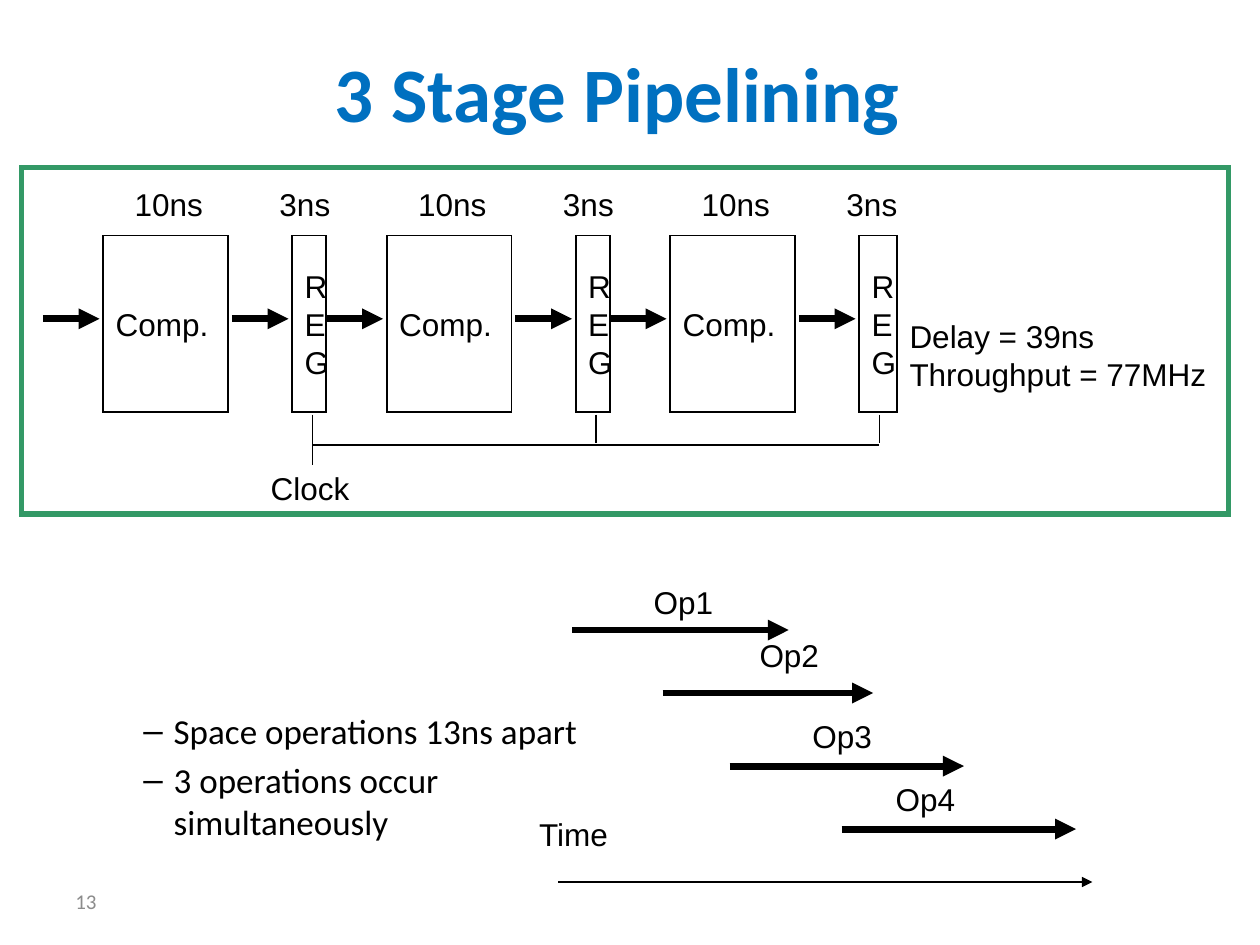
from dataclasses import dataclass

from lxml.etree import SubElement
from pptx import Presentation
from pptx.dml.color import RGBColor
from pptx.enum.shapes import MSO_CONNECTOR as Connector, MSO_SHAPE as Preset
from pptx.enum.text import MSO_ANCHOR as Anchor, MSO_AUTO_SIZE as AutoSize, PP_ALIGN as Align
from pptx.oxml.ns import qn
from pptx.util import Pt

PX = 9144  # 100 px to the inch

BLACK = RGBColor(0x00, 0x00, 0x00)
WHITE = RGBColor(0xFF, 0xFF, 0xFF)
BLUE = RGBColor(0x00, 0x70, 0xC0)
GREEN = RGBColor(0x33, 0x99, 0x66)
GREY = RGBColor(0x8C, 0x8C, 0x8C)

STAGE_PITCH = 225
BLOCK_TOP, BLOCK_HEIGHT = 187, 140
FLOW_Y, FLOW_LENGTH = 253, 45
CLOCK_TOP, CLOCK_Y = 329, 353


@dataclass(frozen=True)
class Box:
    left: int
    top: int
    width: int
    height: int

    def emu(self) -> tuple[int, ...]:
        return tuple(v * PX for v in (self.left, self.top, self.width, self.height))


@dataclass(frozen=True)
class Style:
    size: int = 18
    font: str = "Arial"
    color: RGBColor = BLACK
    bold: bool = False
    align: Align = Align.LEFT


@dataclass(frozen=True)
class Stage:
    left: int
    register_width: int
    clock_bottom: int


@dataclass(frozen=True)
class Operation:
    name: str
    label_left: int
    label_top: int
    start: int
    end: int
    y: int


LABEL = Style()
STAGES = [
    Stage(left=82 + i * STAGE_PITCH, register_width=width, clock_bottom=bottom)
    for i, (width, bottom) in enumerate([(27, 369), (27, 352), (30, 352)])
]
OPERATIONS = [
    Operation("Op1", 509, 458, 454, 626, 500),
    Operation("Op2", 593, 500, 526, 693, 550),
    Operation("Op3", 635, 564, 579, 765, 608),
    Operation("Op4", 701, 614, 668, 854, 658),
]


def write(frame, lines: list[str], style: Style) -> None:
    for i, line in enumerate(lines):
        paragraph = frame.paragraphs[0] if i == 0 else frame.add_paragraph()
        paragraph.text = line
        paragraph.alignment = style.align
        paragraph.font.size = Pt(style.size)
        paragraph.font.name = style.font
        paragraph.font.bold = style.bold
        paragraph.font.color.rgb = style.color


def add_text(slide, box: Box, lines: list[str], style: Style = LABEL, wrap: bool = False):
    frame = slide.shapes.add_textbox(*box.emu()).text_frame
    frame.word_wrap = wrap
    frame.auto_size = AutoSize.NONE if wrap else AutoSize.SHAPE_TO_FIT_TEXT
    write(frame, lines, style)
    return frame


def add_rectangle(slide, box: Box, color: RGBColor, width: int):
    rectangle = slide.shapes.add_shape(Preset.RECTANGLE, *box.emu())
    rectangle.shadow.inherit = False
    rectangle.fill.background()
    rectangle.line.color.rgb = color
    rectangle.line.width = Pt(width)
    SubElement(rectangle._element.spPr.find(qn("a:ln")), qn("a:miter"), lim="800000")
    return rectangle


def add_block(slide, box: Box, lines: list[str]) -> None:
    block = add_rectangle(slide, box, BLACK, 1)
    block.fill.solid()
    block.fill.fore_color.rgb = WHITE
    block.text_frame.word_wrap = False
    block.text_frame.vertical_anchor = Anchor.MIDDLE
    write(block.text_frame, lines, LABEL)


def add_line(slide, start: tuple[int, int], end: tuple[int, int],
             width: int = 1, arrow: bool = False) -> None:
    line = slide.shapes.add_connector(Connector.STRAIGHT, *(v * PX for v in start + end))
    line.line.color.rgb = BLACK
    line.line.width = Pt(width)
    properties = line._element.spPr
    if arrow:
        SubElement(properties.find(qn("a:ln")), qn("a:tailEnd"), type="triangle")
    SubElement(properties, qn("a:effectLst"))


def add_flow(slide, start: int, end: int, y: int) -> None:
    add_line(slide, (start, y), (end, y), width=4, arrow=True)


def add_stage(slide, stage: Stage) -> None:
    left = stage.left
    register_left, clock_x = left + 150, left + 166
    add_block(slide, Box(register_left, BLOCK_TOP, stage.register_width, BLOCK_HEIGHT), list("REG"))
    add_block(slide, Box(left, BLOCK_TOP, 99, BLOCK_HEIGHT), ["Comp."])
    for start in (left - 48, left + 102):
        add_flow(slide, start, start + FLOW_LENGTH, FLOW_Y)
    add_line(slide, (clock_x, CLOCK_TOP), (clock_x, stage.clock_bottom))
    add_text(slide, Box(left + 15, 142, 74, 40), ["10ns"])
    add_text(slide, Box(left + 130, 142, 60, 40), ["3ns"])


def add_operation(slide, operation: Operation) -> None:
    add_text(slide, Box(operation.label_left, operation.label_top, 67, 40), [operation.name])
    add_flow(slide, operation.start, operation.end, operation.y)


def add_bullets(slide, box: Box, lines: list[str]) -> None:
    frame = slide.shapes.add_textbox(*box.emu()).text_frame
    frame.word_wrap = True
    for i, line in enumerate(lines):
        paragraph = frame.paragraphs[0] if i == 0 else frame.add_paragraph()
        properties = paragraph._p.get_or_add_pPr()
        properties.set("marL", str(61 * PX))
        properties.set("indent", str(-24 * PX))
        SubElement(properties, qn("a:buFont"), typeface="Arial")
        SubElement(properties, qn("a:buChar"), char="–")
        if i > 0:
            paragraph.space_before = Pt(4)
        paragraph.text = line
        paragraph.font.size = Pt(20)
        paragraph.font.name = "Calibri"
        paragraph.font.color.rgb = BLACK


def main() -> None:
    prs = Presentation()
    prs.slide_width, prs.slide_height = 1000 * PX, 750 * PX
    slide = prs.slides.add_slide(prs.slide_layouts[6])

    # Title and slide number
    title = add_text(slide, Box(257, 33, 466, 80), ["3 Stage Pipelining"],
                     Style(44, "Calibri", BLUE, True, Align.CENTER))
    title.margin_left = title.margin_right = 7 * PX
    title.margin_top = title.margin_bottom = 3 * PX
    number = add_text(slide, Box(50, 695, 233, 40), ["13"],
                      Style(12, "Calibri", GREY), wrap=True)
    number.vertical_anchor = Anchor.MIDDLE

    # Remarks
    add_bullets(slide, Box(67, 558, 429, 143),
                ["Space operations 13ns apart", "3 operations occur simultaneously"])

    # Pipeline stages with a shared clock
    for stage in STAGES:
        add_stage(slide, stage)
    add_line(slide, (248, CLOCK_Y), (698, CLOCK_Y))
    add_text(slide, Box(205, 367, 86, 40), ["Clock"])
    add_text(slide, Box(712, 247, 271, 70), ["Delay = 39ns", "Throughput = 77MHz"], wrap=True)

    # Operations over time
    for operation in OPERATIONS:
        add_operation(slide, operation)
    add_text(slide, Box(418, 642, 75, 40), ["Time"])
    add_line(slide, (443, 700), (867, 700), arrow=True)

    # Frame around the pipeline
    add_rectangle(slide, Box(17, 133, 958, 275), GREEN, 3)

    prs.save("out.pptx")


if __name__ == "__main__":
    main()
